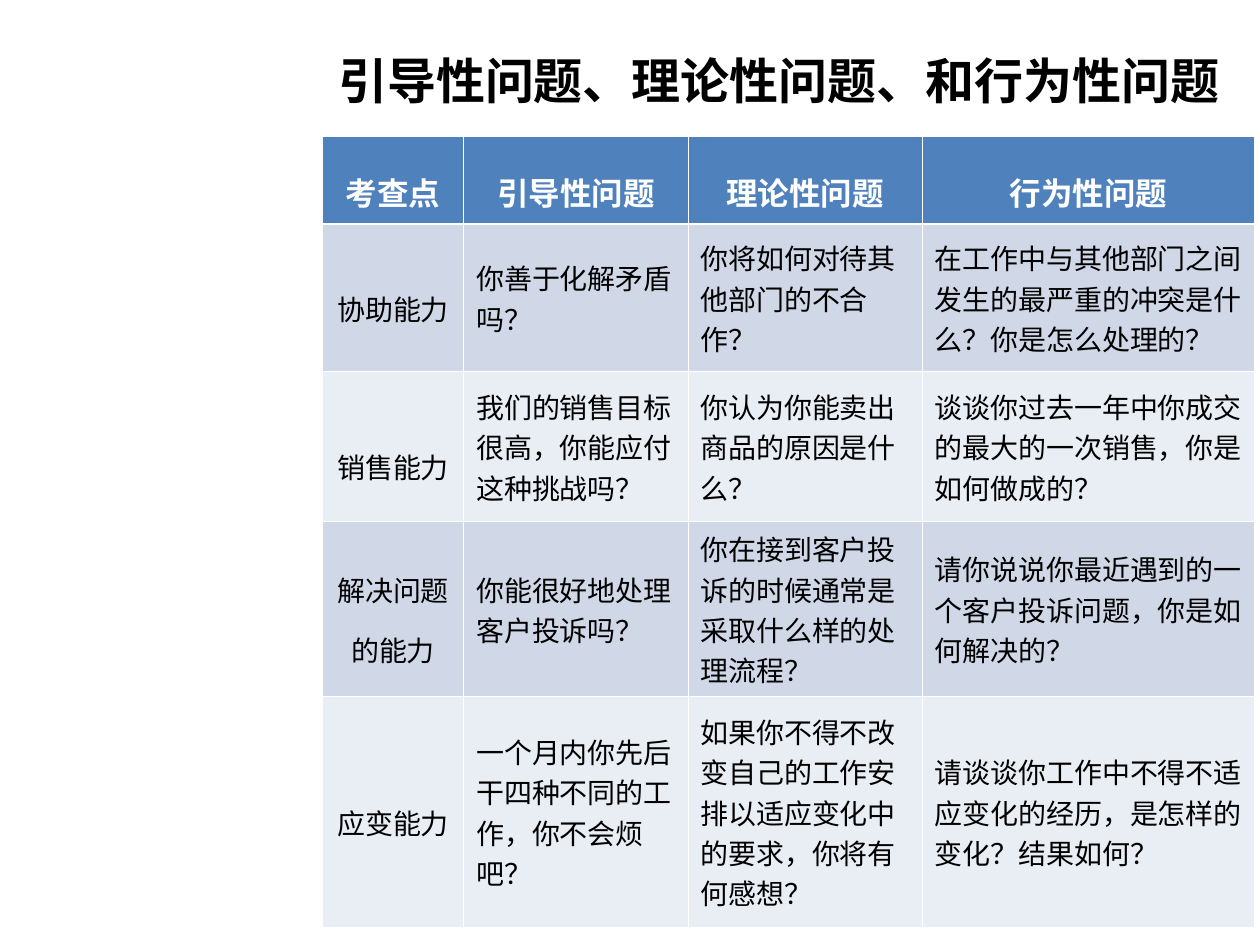
from lxml import etree
from pptx import Presentation
from pptx import util as u
from pptx.dml.color import RGBColor
from pptx.enum import lang, text
from pptx.oxml.ns import qn

COLORS = {"white": "FFFFFF", "black": "000000", "header": "4F81BD",
          "band_dark": "D0D8E8", "band_light": "E9EDF4"}
CJK = "Noto Sans CJK SC"
LATIN = "Calibri"

COLUMNS = [1.12, 1.78, 1.86, 2.64]
ROWS = [0.7, 1.17, 1.19, 1.39, 1.83]
QUESTIONS = [
    ["考查点", "引导性问题", "理论性问题", "行为性问题"],
    ["协助能力", "你善于化解矛盾吗？", "你将如何对待其他部门的不合作？",
     "在工作中与其他部门之间发生的最严重的冲突是什么？你是怎么处理的？"],
    ["销售能力", "我们的销售目标很高，你能应付这种挑战吗？",
     "你认为你能卖出商品的原因是什么？",
     "谈谈你过去一年中你成交的最大的一次销售，你是如何做成的？"],
    ["解决问题的能力", "你能很好地处理客户投诉吗？",
     "你在接到客户投诉的时候通常是采取什么样的处理流程？",
     "请你说说你最近遇到的一个客户投诉问题，你是如何解决的？"],
    ["应变能力", "一个月内你先后干四种不同的工作，你不会烦吧？",
     "如果你不得不改变自己的工作安排以适应变化中的要求，你将有何感想？",
     "请谈谈你工作中不得不适应变化的经历，是怎样的变化？结果如何？"],
]


class Deck:
    def __init__(self, prs):
        self.s = prs.slides.add_slide(prs.slide_layouts[6])

    def color(self, name):
        return RGBColor.from_string(COLORS[name])

    def run(self, p, content, size, color, font=LATIN, bold=False):
        r = p.add_run()
        r.text = content
        r.font.size = u.Pt(size)
        r.font.bold = bold
        r.font.name = font
        r.font.language_id = lang.MSO_LANGUAGE_ID.SIMPLIFIED_CHINESE
        r.font.color.rgb = self.color(color)
        etree.SubElement(r.font._element, qn("a:ea"), typeface=CJK)

    def title(self, content, left, top, width, height):
        sp = self.s.shapes.add_textbox(*map(u.Inches, (left, top, width, height)))
        tf = sp.text_frame
        tf.word_wrap = True
        tf.vertical_anchor = text.MSO_ANCHOR.MIDDLE
        p = tf.paragraphs[0]
        p.alignment = text.PP_ALIGN.CENTER
        self.run(p, content, 28, "black", CJK, True)

    def borders(self, cell, **widths):
        tc_pr = cell._tc.get_or_add_tcPr()
        for i, side in enumerate("LRTB"):
            ln = etree.Element(qn(f"a:ln{side}"), w=str(u.Pt(widths.get(side, 0.45))))
            fill = etree.SubElement(ln, qn("a:solidFill"))
            etree.SubElement(fill, qn("a:srgbClr"), val=COLORS["white"])
            tc_pr.insert(i, ln)

    def cell(self, cell, content, row, col):
        header = row == 0
        band = "header" if header else "band_dark" if row % 2 else "band_light"
        cell.fill.solid()
        cell.fill.fore_color.rgb = self.color(band)
        cell.vertical_anchor = text.MSO_ANCHOR.MIDDLE
        p = cell.text_frame.paragraphs[0]
        # Keep closing punctuation inside the cell margin
        p._p.get_or_add_pPr().set("hangingPunct", "0")
        if header or col == 0:
            p.alignment = text.PP_ALIGN.CENTER
            p.line_spacing = 2.0 if row == 2 else 1.5
        self.run(p, content, 18 if header else 16,
                 "white" if header else "black", bold=header)
        # A thicker rule separates the header from the body
        rule = {0: {"B": 1.47}, 1: {"T": 1.47}}
        self.borders(cell, **rule.get(row, {}))

    def table(self, data, left, top, columns, rows):
        frame = self.s.shapes.add_table(
            len(rows), len(columns), u.Inches(left), u.Inches(top),
            u.Inches(sum(columns)), u.Inches(sum(rows)))
        table = frame.table
        for column, width in zip(table.columns, columns):
            column.width = u.Inches(width)
        for row, height in zip(table.rows, rows):
            row.height = u.Inches(height)
        for i, line in enumerate(data):
            for j, content in enumerate(line):
                self.cell(table.cell(i, j), content, i, j)


def main():
    prs = Presentation()
    prs.slide_width, prs.slide_height = u.Inches(10), u.Inches(7.5)
    deck = Deck(prs)

    # Heading
    deck.title("引导性问题、理论性问题、和行为性问题", 1.93, 0.36, 8.5, 0.55)

    # Interview questions by ability
    deck.table(QUESTIONS, 2.56, 1.08, COLUMNS, ROWS)

    prs.save("out.pptx")


if __name__ == "__main__":
    main()
